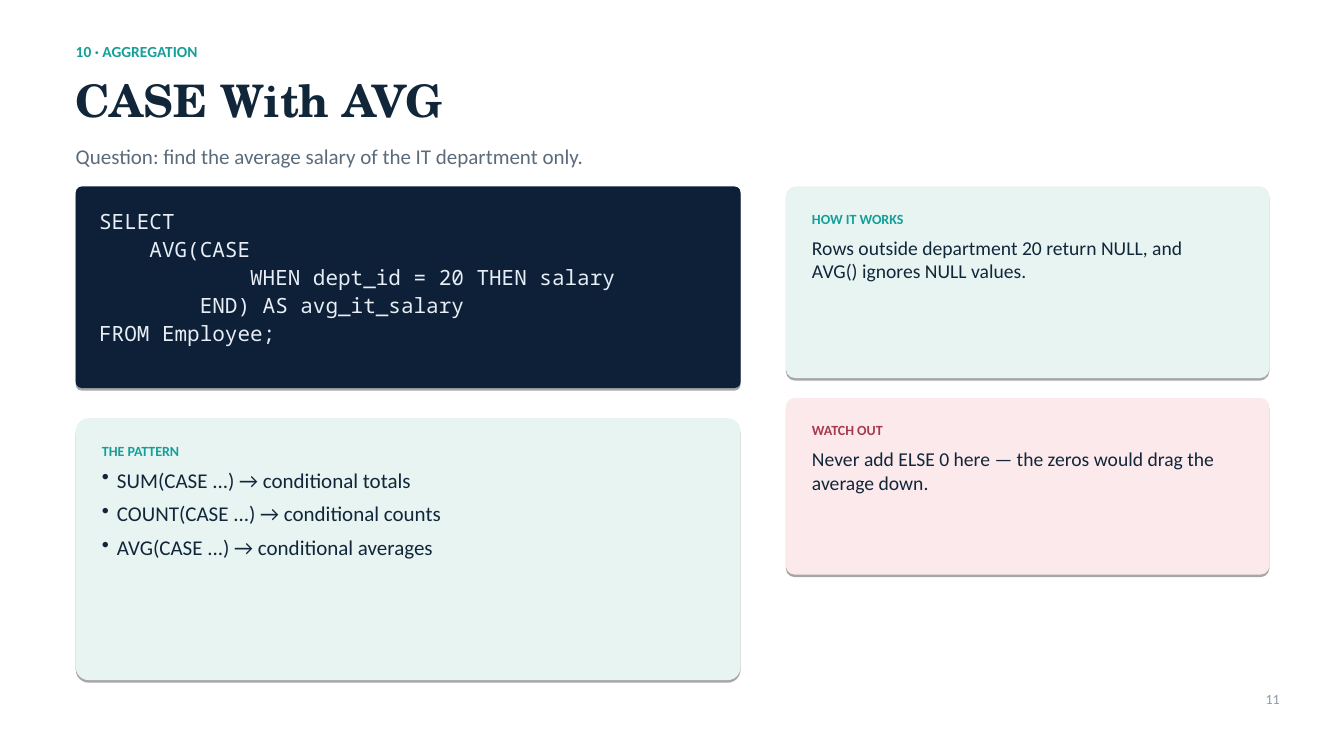
import pptx
import pptx.dml.color
import pptx.enum.shapes
import pptx.enum.text
import pptx.oxml
import pptx.oxml.ns
import pptx.util
from pptx.util import Cm

TEAL, NAVY, CRIMSON, MINT = "14A098", "12263A", "A83A4E", "E7F4F1"
SHADOW = (
    f'<a:outerShdw {pptx.oxml.ns.nsdecls("a")} blurRad="0" dist="22860" dir="5400000" '
    'algn="ctr" rotWithShape="0"><a:srgbClr val="000000"><a:alpha val="35000"/>'
    '</a:srgbClr></a:outerShdw>'
)
BULLET = f'<a:buChar {pptx.oxml.ns.nsdecls("a")} char="•"/>'

presentation = pptx.Presentation()
presentation.slide_width = Cm(33.88)
presentation.slide_height = Cm(19.05)
slide = presentation.slides.add_slide(presentation.slide_layouts[6])


def color(hex_string):
    return pptx.dml.color.RGBColor.from_string(hex_string)


def add_text(left, top, width, height, lines, space_after=0, inset_x=0, inset_y=0):
    frame = slide.shapes.add_textbox(Cm(left), Cm(top), Cm(width), Cm(height)).text_frame
    frame.word_wrap = True
    frame.margin_left = frame.margin_right = Cm(inset_x)
    frame.margin_top = frame.margin_bottom = Cm(inset_y)
    for index, (text, size, font_name, hex_string, bold) in enumerate(lines):
        paragraph = frame.paragraphs[0] if index == 0 else frame.add_paragraph()
        paragraph.text = text
        paragraph.space_after = pptx.util.Pt(space_after)
        paragraph.font.size = pptx.util.Pt(size)
        paragraph.font.name = font_name
        paragraph.font.bold = bold
        paragraph.font.color.rgb = color(hex_string)
    return frame


add_text(1.91, 1.07, 30.23, 0.46, [("10 · AGGREGATION", 11, "Calibri", TEAL, True)])
add_text(1.91, 1.83, 30.23, 1.35, [("CASE With AVG", 32, "TeX Gyre Schola", NAVY, True)])
question = "Question: find the average salary of the IT department only."
add_text(1.91, 3.61, 27.94, 0.64, [(question, 15, "Calibri", "5B6B7C", False)])

code = """SELECT
    AVG(CASE
            WHEN dept_id = 20 THEN salary
        END) AS avg_it_salary
FROM Employee;"""
code_lines = [(line, 15, "Noto Sans Mono", "E7EEF6", False) for line in code.split("\n")]
how_lines = [
    ("HOW IT WORKS", 10, "Calibri", TEAL, True),
    ("Rows outside department 20 return NULL, and AVG() ignores NULL values.",
     14, "Calibri", NAVY, False),
]
watch_lines = [
    ("WATCH OUT", 10, "Calibri", CRIMSON, True),
    ("Never add ELSE 0 here — the zeros would drag the average down.",
     14, "Calibri", NAVY, False),
]
patterns = ["SUM(CASE ...) → conditional totals", "COUNT(CASE ...) → conditional counts",
            "AVG(CASE ...) → conditional averages"]
pattern_lines = [("THE PATTERN", 10, "Calibri", TEAL, True)]
pattern_lines += [(pattern, 15, "Calibri", NAVY, False) for pattern in patterns]

cards = [
    (1.91, 4.7, 16.76, 5.08, 0.03, "0E2038", code_lines, 2, 0.13, 0.25),
    (19.81, 4.7, 12.19, 4.83, 0.05, MINT, how_lines, 6, 0.2, 0.3),
    (19.81, 10.03, 12.19, 4.45, 0.05, "FBE9EC", watch_lines, 6, 0.2, 0.3),
    (1.91, 10.54, 16.76, 6.6, 0.05, MINT, pattern_lines, 6, 0.2, 0.3),
]
for left, top, width, height, rounding, fill, lines, space_after, shift_x, shift_y in cards:
    card = slide.shapes.add_shape(pptx.enum.shapes.MSO_SHAPE.ROUNDED_RECTANGLE,
                                  Cm(left), Cm(top), Cm(width), Cm(height))
    card.adjustments[0] = rounding
    card.fill.solid()
    card.fill.fore_color.rgb = color(fill)
    card.line.fill.background()
    card.shadow.inherit = False
    effects = card._element.spPr.find(pptx.oxml.ns.qn("a:effectLst"))
    effects.append(pptx.oxml.parse_xml(SHADOW))
    frame = add_text(left + shift_x, top + shift_y, width - 0.76, height - 2 * shift_y,
                     lines, space_after, 0.46, 0.3)
    if lines is pattern_lines:
        for paragraph in frame.paragraphs[1:]:
            properties = paragraph._p.get_or_add_pPr()
            properties.set("marL", str(Cm(0.38)))
            properties.set("indent", str(-Cm(0.38)))
            properties.find(pptx.oxml.ns.qn("a:spcAft")).addnext(pptx.oxml.parse_xml(BULLET))

page_number = add_text(30.99, 17.4, 1.27, 0.43, [("11", 10, "Calibri", "8C9AA8", False)])
page_number.paragraphs[0].alignment = pptx.enum.text.PP_ALIGN.RIGHT

presentation.save("out.pptx")
